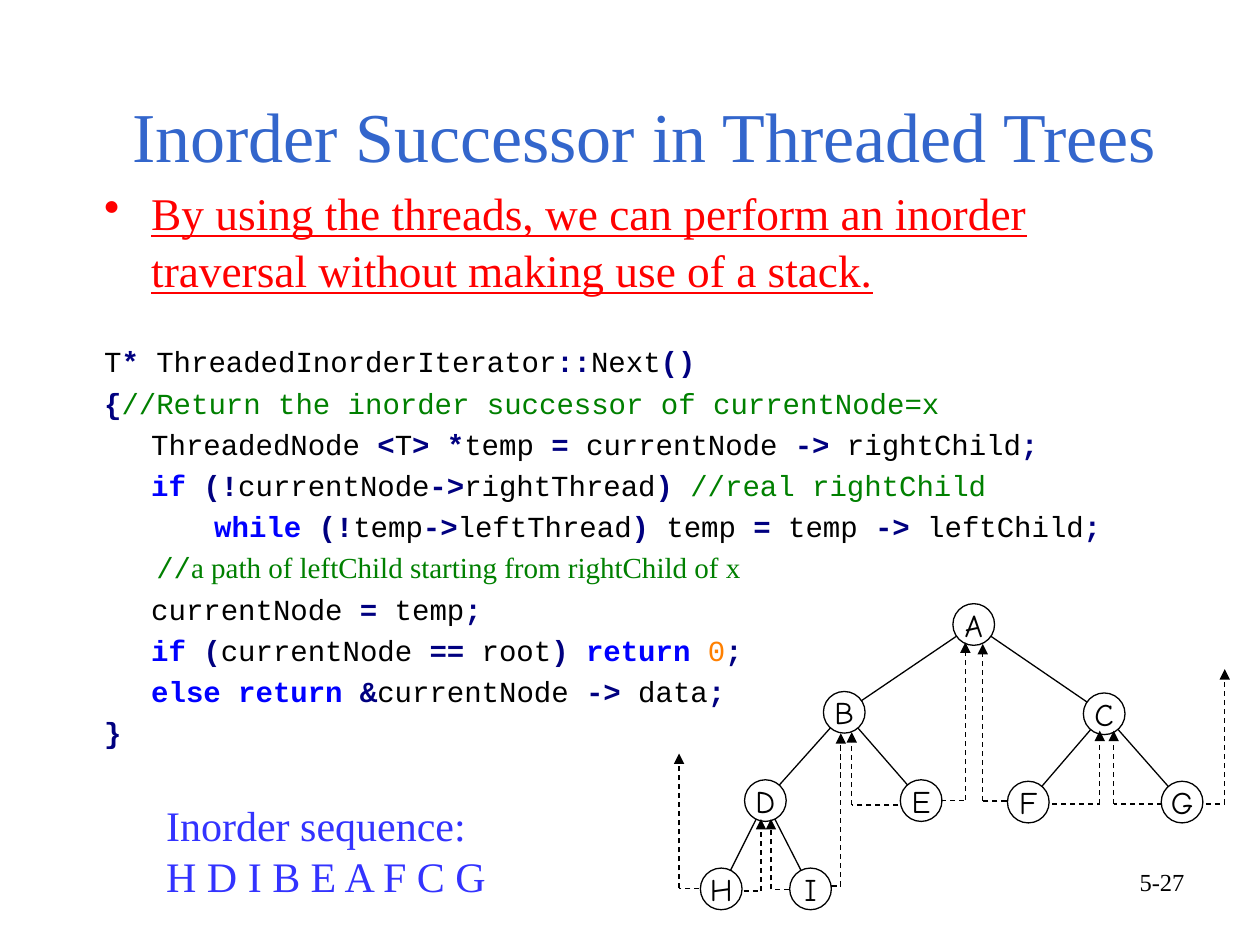
import math

import lxml.etree
import pptx
import pptx.dml.color
import pptx.enum.dml
import pptx.enum.shapes
import pptx.enum.text
import pptx.oxml.ns
import pptx.util

Cm = pptx.util.Cm
Pt = pptx.util.Pt
qn = pptx.oxml.ns.qn
ALIGN = pptx.enum.text.PP_ALIGN
ANCHOR = pptx.enum.text.MSO_ANCHOR
SERIF, MONO, ROUND = "Times New Roman", "Courier New", "Comic Neue"
STYLES = {
    "plain": ("000000", False),
    "operator": ("000080", True),
    "keyword": ("0000FF", True),
    "comment": ("008000", False),
    "number": ("FF8000", False),
}


def add_run(paragraph, text, font_name, size, color, bold=False):
    run = paragraph.add_run()
    run.text = text
    run.font.name = font_name
    run.font.size = Pt(size)
    run.font.bold = bold
    run.font.color.rgb = pptx.dml.color.RGBColor.from_string(color)
    return run


def add_line(shapes, start, end, dashed=False, arrow=False):
    line = shapes.add_connector(
        pptx.enum.shapes.MSO_CONNECTOR.STRAIGHT,
        Cm(start[0]), Cm(start[1]), Cm(end[0]), Cm(end[1]))
    line.line.width = Pt(0.75)
    line.line.color.rgb = pptx.dml.color.RGBColor.from_string("000000")
    if dashed:
        line.line.dash_style = pptx.enum.dml.MSO_LINE.DASH
    properties = line._element.spPr
    if arrow:
        lxml.etree.SubElement(properties.find(qn("a:ln")), qn("a:tailEnd"), type="triangle")
    lxml.etree.SubElement(properties, qn("a:effectLst"))


presentation = pptx.Presentation()
presentation.slide_width = Cm(25.4)
presentation.slide_height = Cm(19.05)
slide = presentation.slides.add_slide(presentation.slide_layouts[5])

# Title
title = slide.shapes.title
title.left, title.top, title.width, title.height = Cm(1.9), Cm(1.73), Cm(22.17), Cm(1.96)
title.text_frame.auto_size = pptx.enum.text.MSO_AUTO_SIZE.NONE
title.text_frame.vertical_anchor = ANCHOR.BOTTOM
paragraph = title.text_frame.paragraphs[0]
paragraph.alignment = ALIGN.CENTER
add_run(paragraph, "Inorder Successor in Threaded Trees", SERIF, 40, "3366CC")

# Statement and code
body = slide.shapes.add_textbox(Cm(1.85), Cm(3.56), Cm(22.17), Cm(13.2)).text_frame
body.word_wrap = True
paragraph = body.paragraphs[0]
paragraph.line_spacing = 1.05
properties = paragraph._p.get_or_add_pPr()
properties.set("marL", str(Cm(0.95)))
properties.set("indent", str(Cm(-0.95)))
bullet_color = lxml.etree.SubElement(properties, qn("a:buClr"))
lxml.etree.SubElement(bullet_color, qn("a:srgbClr"), val="FF0000")
lxml.etree.SubElement(properties, qn("a:buChar"), char="•")
add_run(paragraph,
        "By using the threads, we can perform an inorder traversal without making use of a stack.",
        SERIF, 25.9, "FF0000").font.underline = True

code_lines = [
    [("T", "plain"), ("*", "operator"), (" ThreadedInorderIterator", "plain"),
     ("::", "operator"), ("Next", "plain"), ("()", "operator")],
    [("{", "operator"), ("//Return the inorder successor of currentNode=x", "comment")],
    [("\tThreadedNode ", "plain"), ("<", "operator"), ("T", "plain"), ("> *", "operator"),
     ("temp ", "plain"), ("=", "operator"), (" currentNode ", "plain"), ("->", "operator"),
     (" rightChild", "plain"), (";", "operator")],
    [("\t", "plain"), ("if ", "keyword"), ("(!", "operator"), ("currentNode", "plain"),
     ("->", "operator"), ("rightThread", "plain"), (") ", "operator"),
     ("//real rightChild", "comment")],
    [("\t\t", "plain"), ("while ", "keyword"), ("(!", "operator"), ("temp", "plain"),
     ("->", "operator"), ("leftThread", "plain"), (")", "operator"), (" temp ", "plain"),
     ("=", "operator"), (" temp ", "plain"), ("->", "operator"), (" leftChild", "plain"),
     (";", "operator")],
    [("   //", "comment"), ("a path of leftChild starting from rightChild of x", "comment", SERIF)],
    [("\tcurrentNode ", "plain"), ("=", "operator"), (" temp", "plain"), (";", "operator")],
    [("\t", "plain"), ("if ", "keyword"), ("(", "operator"), ("currentNode ", "plain"),
     ("==", "operator"), (" root", "plain"), (") ", "operator"), ("return ", "keyword"),
     ("0", "number"), (";", "operator")],
    [("\t", "plain"), ("else return ", "keyword"), ("&", "operator"), ("currentNode ", "plain"),
     ("->", "operator"), (" data", "plain"), (";", "operator")],
    [("}", "operator")],
]
for index, code_line in enumerate(code_lines):
    paragraph = body.add_paragraph()
    paragraph.line_spacing = 0.9
    paragraph.space_before = Pt(5.6 if index else 29)
    properties = paragraph._p.get_or_add_pPr()
    properties.set("marL", str(Cm(0.95)))
    properties.set("indent", str(Cm(-0.95)))
    lxml.etree.SubElement(properties, qn("a:buNone"))
    tabs = lxml.etree.SubElement(properties, qn("a:tabLst"))
    for position in (0, 2.54):
        lxml.etree.SubElement(tabs, qn("a:tab"), pos=str(Cm(position)), algn="l")
    for text, style, *font_name in code_line:
        add_run(paragraph, text, font_name[0] if font_name else MONO, 16.6, *STYLES[style])

# Threaded tree: node centres in centimetres
tree = slide.shapes.add_group_shape().shapes
radius = 0.42
nodes = {
    "A": (19.63, 12.59), "B": (17.02, 14.36), "C": (22.26, 14.39),
    "D": (15.43, 16.14), "E": (18.57, 16.14), "F": (20.73, 16.17),
    "G": (23.83, 16.17), "H": (14.54, 17.92), "I": (16.34, 17.92),
}
for letter, (x, y) in nodes.items():
    node = tree.add_shape(pptx.enum.shapes.MSO_SHAPE.OVAL, Cm(x - radius), Cm(y - radius),
                          Cm(2 * radius), Cm(2 * radius))
    node.shadow.inherit = False
    node.fill.background()
    node.line.width = Pt(0.75)
    node.line.color.rgb = pptx.dml.color.RGBColor.from_string("000000")
    node.text_frame.word_wrap = False
    node.text_frame.vertical_anchor = ANCHOR.MIDDLE
    paragraph = node.text_frame.paragraphs[0]
    paragraph.alignment = ALIGN.CENTER
    add_run(paragraph, letter, ROUND, 18, "000000")

for parent, child in ("AB", "AC", "BD", "BE", "CF", "CG", "DH", "DI"):
    (x1, y1), (x2, y2) = nodes[parent], nodes[child]
    share = radius / math.hypot(x2 - x1, y2 - y1)
    dx, dy = (x2 - x1) * share, (y2 - y1) * share
    add_line(tree, (x1 + dx, y1 + dy), (x2 - dx, y2 - dy))

# Threads: start x, level y, corner x, arrow tip y
threads = [
    (14.1, 17.91, 13.69, 15.19), (14.99, 17.96, 15.34, 16.51),
    (15.9, 17.93, 15.54, 16.51), (16.76, 17.86, 16.95, 14.78),
    (18.11, 16.23, 17.17, 14.76), (18.97, 16.13, 19.46, 12.95),
    (20.29, 16.15, 19.81, 12.98), (21.21, 16.21, 22.17, 14.73),
    (23.42, 16.21, 22.45, 14.73), (24.31, 16.21, 24.69, 13.49),
]
for start_x, level_y, corner_x, tip_y in threads:
    add_line(tree, (start_x, level_y), (corner_x, level_y), dashed=True)
    add_line(tree, (corner_x, level_y), (corner_x, tip_y), dashed=True, arrow=True)

# Traversal result and page number
sequence = slide.shapes.add_textbox(Cm(3.1), Cm(16), Cm(9.6), Cm(2.29)).text_frame
sequence.word_wrap = True
add_run(sequence.paragraphs[0], "Inorder sequence:", SERIF, 24, "3333FF")
add_run(sequence.add_paragraph(), "H D I B E A F C G", SERIF, 24, "3333FF")

page = slide.shapes.add_textbox(Cm(18.2), Cm(17.35), Cm(5.93), Cm(1.32)).text_frame
page.word_wrap = True
page.paragraphs[0].alignment = ALIGN.RIGHT
add_run(page.paragraphs[0], "5-27", SERIF, 14, "000000")

presentation.save("out.pptx")
